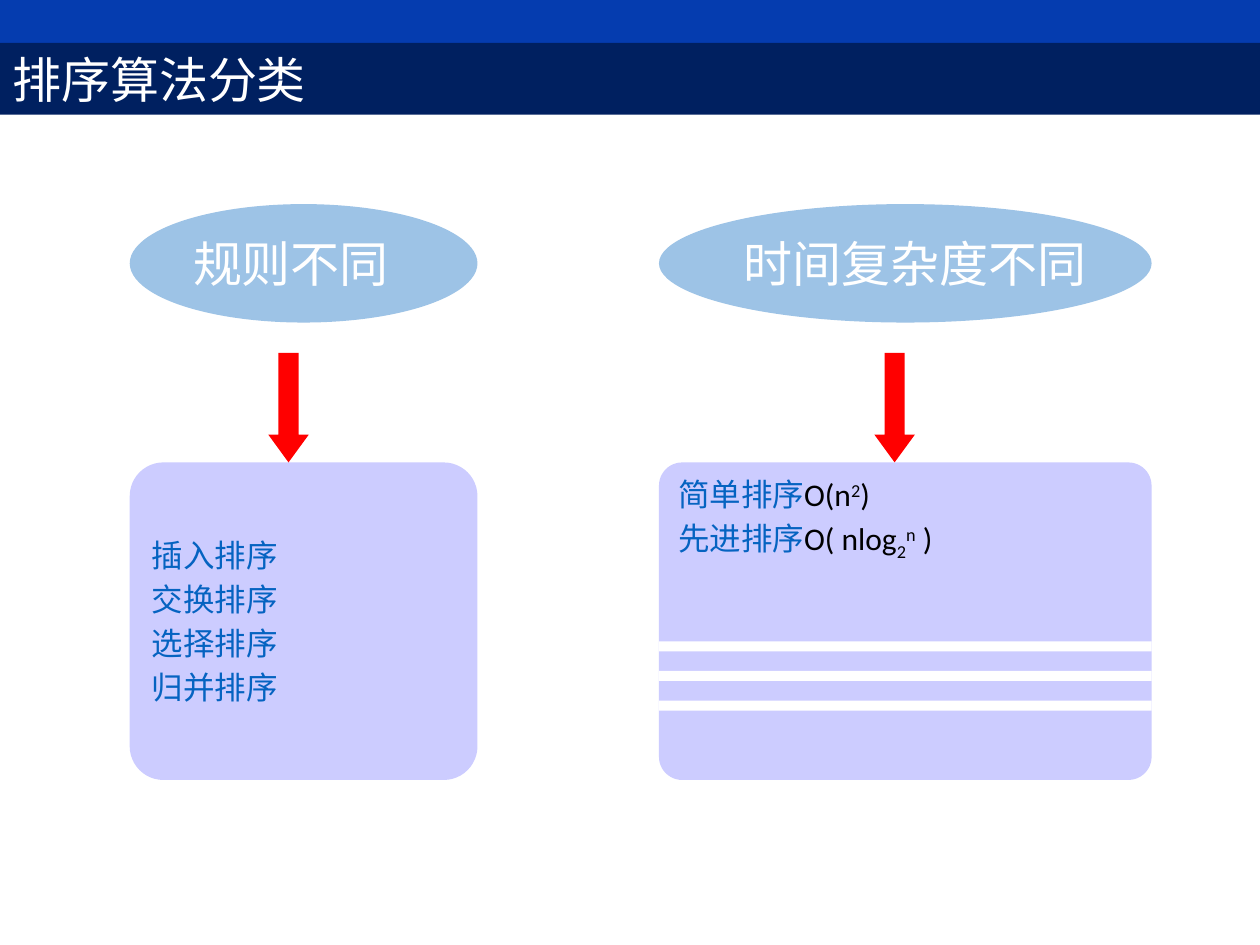
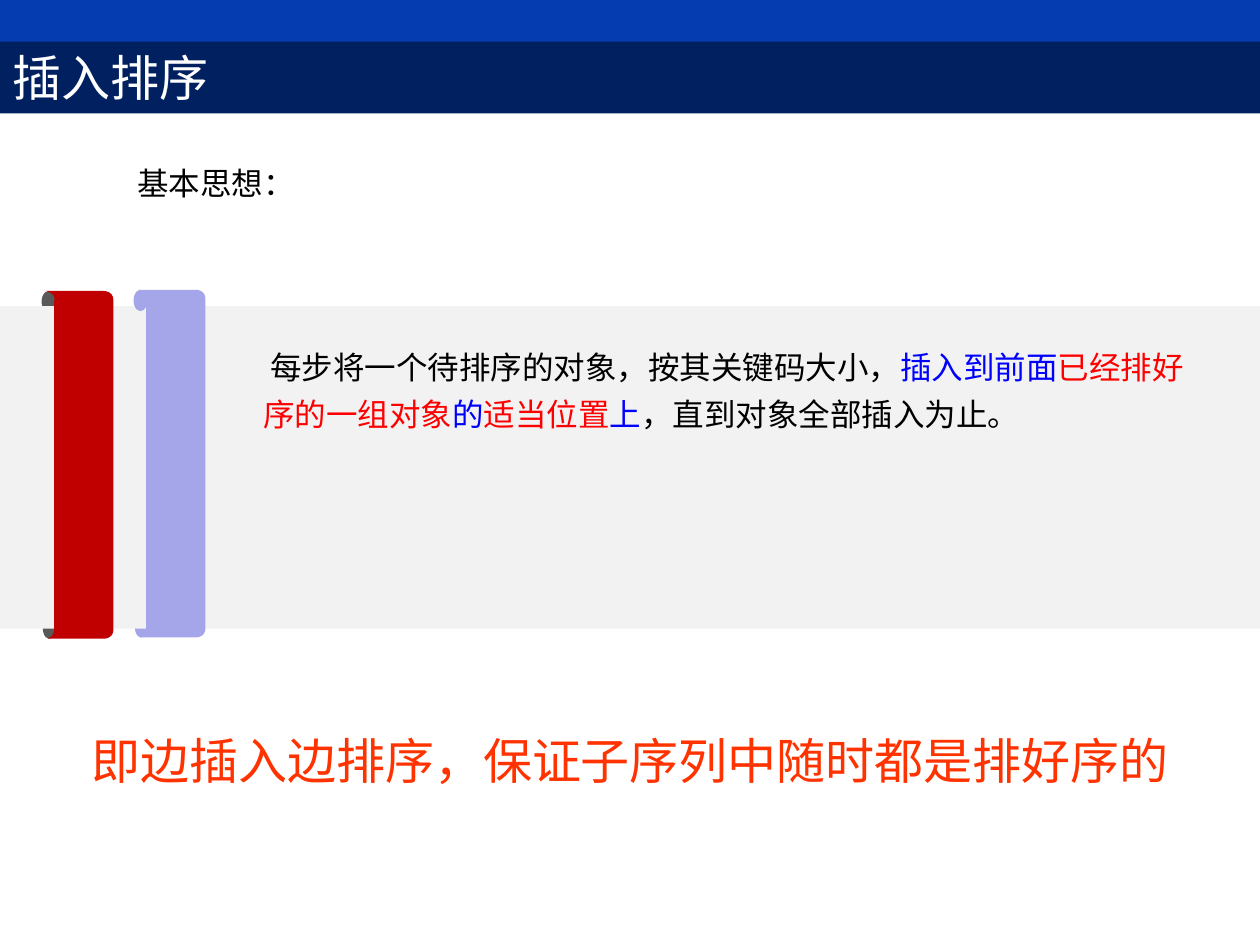
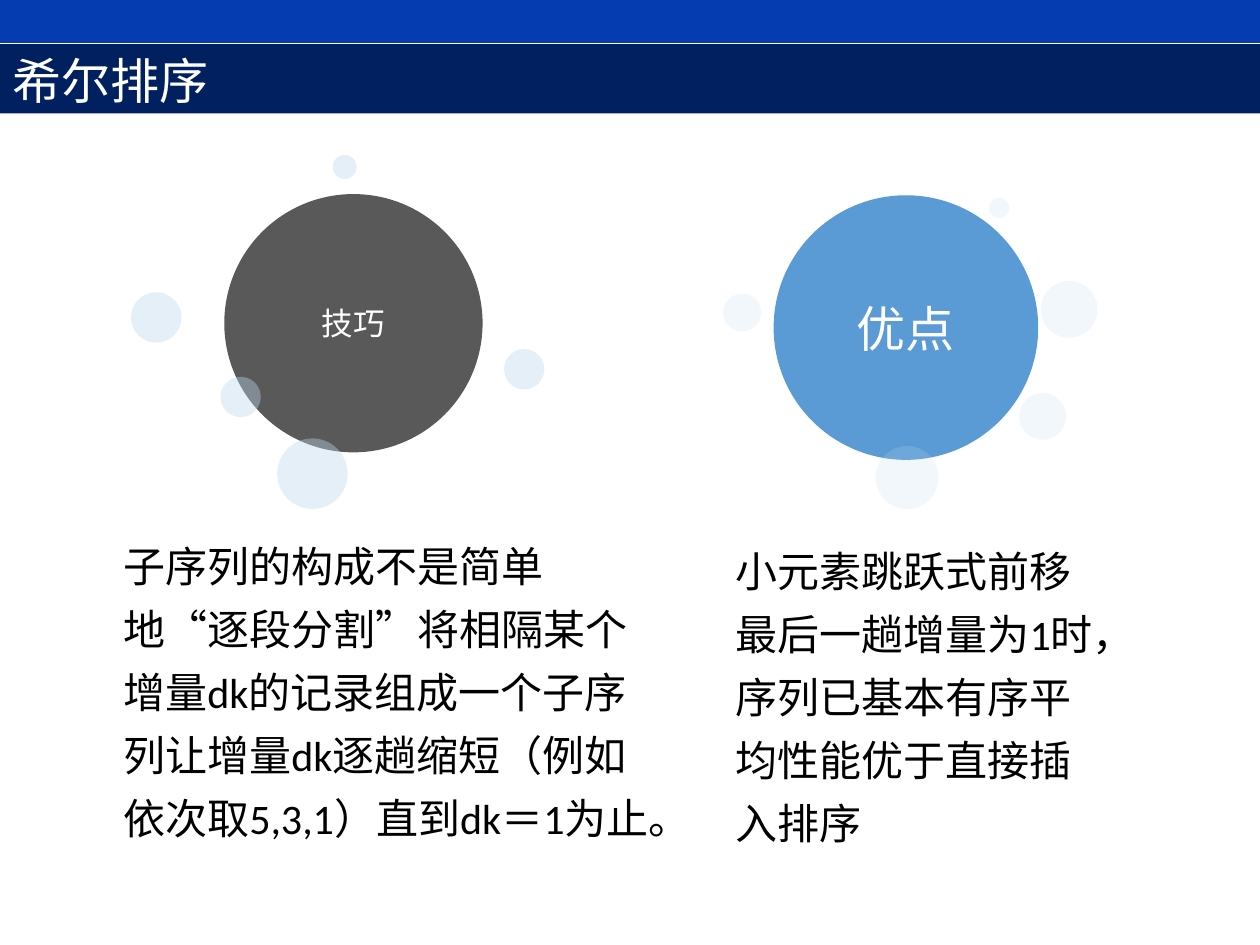
from lxml.etree import SubElement
from pptx import Presentation
from pptx.dml.color import RGBColor
from pptx.enum.shapes import MSO_SHAPE as KIND
from pptx.enum.text import MSO_ANCHOR, MSO_AUTO_SIZE, PP_ALIGN
from pptx.oxml.ns import qn
from pptx.util import Inches, Pt

WIDE, HIGH = 10, 7.5
THEME = {
    "band": "053CAF", "bar": "002060", "white": "FFFFFF", "black": "000000",
    "sky": "9DC3E6", "lilac": "CCCCFF", "red": "FF0000", "link": "0563C1",
    "orange": "FF3300", "gray": "595959", "pale": "F2F2F2", "wine": "C00000",
    "violet": "A5A5E9", "blue": "0000FF", "azure": "5B9BD5", "mist": "BDD7EE",
    "big": 28, "mid": 24, "small": 18, "sans": "Calibri", "serif": "Times New Roman",
}
HANG = 0.38

# title, bar top, bar width, bar height, font
HEADS = [
    ("排序算法分类", 0.34, WIDE, 0.57, "serif"),
    ("插入排序", 0.33, WIDE, 0.57, "sans"),
    ("希尔排序", 0.35, WIDE + 0.01, 0.55, "sans"),
]

# A line is a list of runs: (text, colour, baseline in percent)
KINDS = [
    {"head": "规则不同", "left": 1.03, "width": 2.76, "arrow": 2.13, "round": 0.106,
     "anchor": "MIDDLE", "first": 0.5,
     "lines": [[(name, "link")] for name in ("插入排序", "交换排序", "选择排序", "归并排序")]},
    {"head": "时间复杂度不同", "left": 5.23, "width": 3.91, "arrow": 6.94, "round": 0.073,
     "anchor": "TOP", "first": 0.05,
     "lines": [
         [("简单排序", "link"), ("O(n", "black"), ("2", "black", 30), (")", "black")],
         [("先进排序", "link"), ("O( nlog", "black"), ("2", "black", -25),
          ("n", "black", 30), (" )", "black")]]},
]
STRIPES = [5.09 + 0.235 * i for i in range(3)]

IDEA = [
    (" 每步将一个待排序的对象，按其关键码大小，", "black"), ("插入到前面", "blue"),
    ("已经排好序的一组对象", "red"), ("的", "blue"), ("适当位置", "red"),
    ("上", "blue"), ("，直到对象全部插入为止。", "black"),
]
# Scroll outline from its top left: a point, or the three points of a curve
SCROLL = [
    [(0.07, 0.09)], [(0.1, 0), (-0.03, 0), (0.01, 0)],
    [(0.46, 0)], [(0.51, 0), (0.54, 0.03), (0.54, 0.07)],
    [(0.54, 2.69)], [(0.54, 2.73), (0.51, 2.76), (0.46, 2.76)],
    [(0.03, 2.76)], [(-0.01, 2.76), (0.07, 2.76), (0.07, 2.69)],
]

# disc and bubbles: left, top, size
DISCS = [
    {"word": "优点", "at": (6.14, 1.55, 2.1), "fill": "azure", "size": "big",
     "font": "serif", "alpha": 20,
     "dots": [(5.74, 2.33, 0.3), (6.95, 3.54, 0.5), (7.85, 1.57, 0.16),
              (8.09, 3.12, 0.37), (8.26, 2.23, 0.45)],
     "note": "小元素跳跃式前移最后一趟增量为1时，序列已基本有序平均性能优于直接插入排序",
     "box": (5.74, 4.18, 3.19, 2.62)},
    {"word": "技巧", "at": (1.78, 1.54, 2.05), "fill": "gray", "size": "small",
     "font": "sans", "alpha": 40,
     "dots": [(4, 2.77, 0.32), (1.75, 2.99, 0.32), (2.2, 3.48, 0.56),
              (2.64, 1.23, 0.19), (1.04, 2.32, 0.4)],
     "note": "子序列的构成不是简单地“逐段分割”将相隔某个增量dk的记录组成一个子序列"
             "让增量dk逐趟缩短（例如依次取5,3,1）直到dk＝1为止。",
     "box": (0.88, 4.14, 4.41, 2.58)},
]


def tint(name):
    return RGBColor.from_string(THEME[name])


def paint(item, color, alpha=None):
    item.shadow.inherit = False
    item.fill.solid()
    item.fill.fore_color.rgb = tint(color)
    item.line.fill.background()
    if alpha:
        tone = item._element.spPr.find(qn("a:solidFill"))[0]
        SubElement(tone, qn("a:alpha"), val=str(alpha * 1000))
    return item


def draw(page, kind, at, color, alpha=None, adj=()):
    item = page.shapes.add_shape(kind, *map(Inches, at))
    for i, value in enumerate(adj):
        item.adjustments[i] = value
    return paint(item, color, alpha)


def space(para, share):
    """Set the space before a paragraph as a share of its line."""
    para.space_before = Pt(0)
    gap = para._p.pPr.find(qn("a:spcBef"))
    gap.remove(gap[0])
    SubElement(gap, qn("a:spcPct"), val=str(round(share * 100000)))


def write(item, lines, size, font="sans", anchor="TOP", wrap=True, align="LEFT",
          hang=0, before=0, first=None, lead=None, inset=None):
    frame = item.text_frame
    look = {"word_wrap": wrap, "vertical_anchor": MSO_ANCHOR[anchor]}
    if inset is not None:
        for side in ("left", "top", "right", "bottom"):
            look["margin_" + side] = Inches(inset)
    for key, value in look.items():
        setattr(frame, key, value)
    for i, line in enumerate(lines):
        para = frame.add_paragraph() if i else frame.paragraphs[0]
        para.alignment = PP_ALIGN[align]
        if lead:
            para.line_spacing = lead
        share = first if first and not i else before
        if share:
            space(para, share)
        if hang:
            para._p.pPr.set("marL", str(Inches(hang)))
            para._p.pPr.set("indent", str(-Inches(hang)))
        for text, color, *base in line:
            run = para.add_run()
            run.text = text
            style = {"name": THEME[font], "size": Pt(THEME[size])}
            for key, value in style.items():
                setattr(run.font, key, value)
            run.font.color.rgb = tint(color)
            if base:
                run._r.get_or_add_rPr().set("baseline", str(base[0] * 1000))


def label(page, at, line, size, **look):
    box = page.shapes.add_textbox(*map(Inches, at))
    write(box, [line], size, lead=1.25, **look)
    box.text_frame.auto_size = MSO_AUTO_SIZE.SHAPE_TO_FIT_TEXT


def bend(start, ends, steps=8):
    """Points along a cubic curve."""
    knots = [start, *ends]
    for i in range(1, steps + 1):
        t = i / steps
        rate = ((1 - t) ** 3, 3 * t * (1 - t) ** 2, 3 * t * t * (1 - t), t ** 3)
        yield tuple(sum(r * k[axis] for r, k in zip(rate, knots)) for axis in (0, 1))


def scroll(page, left, top, color):
    dots = []
    for part in SCROLL:
        dots += part if len(part) == 1 else bend(dots[-1], part)
    spots = [(Inches(left + x), Inches(top + y)) for x, y in dots]
    pen = page.shapes.build_freeform(*spots[0])
    pen.add_line_segments(spots[1:], close=True)
    paint(pen.convert_to_shape(), color)


def start(deck, head):
    title, top, width, height, font = head
    page = deck.slides.add_slide(deck.slide_layouts[6])
    draw(page, KIND.RECTANGLE, (0, 0, WIDE, 0.34), "band")
    bar = draw(page, KIND.RECTANGLE, (0, top, width, height), "bar")
    write(bar, [[(title, "white")]], "big", font)
    return page


def classes(page):
    for kind in KINDS:
        left, width = kind["left"], kind["width"]
        oval = draw(page, KIND.OVAL, (left, 1.62, width, 0.94), "sky")
        write(oval, [[(kind["head"], "white")]], "big", anchor="MIDDLE",
              wrap=False, hang=HANG, before=0.2)
        card = draw(page, KIND.ROUNDED_RECTANGLE, (left, 3.67, width, 2.52), "lilac",
                    adj=[kind["round"]])
        write(card, kind["lines"], "small", anchor=kind["anchor"], hang=HANG,
              before=0.2, first=kind["first"])
        draw(page, KIND.DOWN_ARROW, (kind["arrow"], 2.8, 0.32, 0.87), "red",
             adj=(0.5, 0.685))
    for top in STRIPES:
        draw(page, KIND.RECTANGLE, (left, top, width, 0.08), "white")


def insertion(page):
    label(page, (0.99, 1.18, 7.57, 0.69), [("基本思想：", "black")], "small")
    label(page, (0.63, 5.63, 8.84, 0.64),
          [("即边插入边排序，保证子序列中随时都是排好序的", "orange")], "big", wrap=False)
    curls = [(1.07, 4.89, 0.1, "violet"), (0.34, 4.9, 0.1, "gray"), (0.33, 2.31, 0.11, "gray")]
    for left, top, width, color in curls:
        draw(page, KIND.OVAL, (left, top, width, 0.17), color)
    draw(page, KIND.RECTANGLE, (0, 2.43, WIDE, 2.56), "pale")
    scroll(page, 0.36, 2.31, "wine")
    draw(page, KIND.OVAL, (1.06, 2.3, 0.11, 0.17), "violet")
    scroll(page, 1.09, 2.3, "violet")
    label(page, (1.99, 2.64, 7.66, 1.87), IDEA, "small")


def shell(page):
    for disc in DISCS:
        label(page, disc["box"], [(disc["note"], "black")], "mid", before=0.2)
        left, top, size = disc["at"]
        ball = draw(page, KIND.OVAL, (left, top, size, size), disc["fill"])
        write(ball, [[(disc["word"], "white")]], disc["size"], disc["font"],
              anchor="MIDDLE", wrap=False, align="CENTER", before=0.2, inset=0)
        for left, top, size in disc["dots"]:
            draw(page, KIND.OVAL, (left, top, size, size), "mist", disc["alpha"])


def main():
    deck = Presentation()
    deck.slide_width, deck.slide_height = Inches(WIDE), Inches(HIGH)
    for head, fill in zip(HEADS, (classes, insertion, shell)):
        fill(start(deck, head))
    deck.save("out.pptx")


if __name__ == "__main__":
    main()
